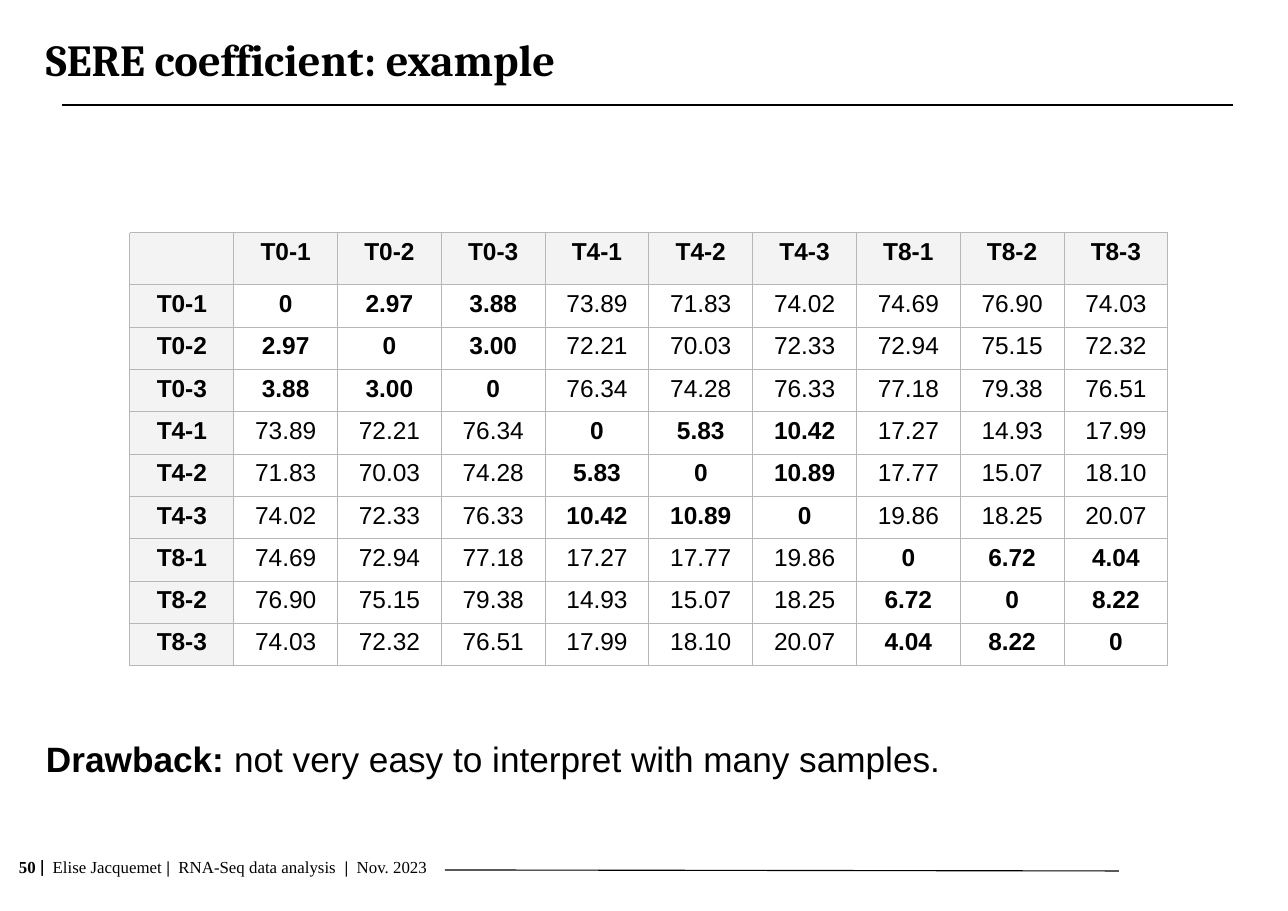
from lxml.etree import SubElement
from pptx import Presentation
from pptx.dml.color import RGBColor
from pptx.enum.shapes import MSO_CONNECTOR
from pptx.enum.text import MSO_ANCHOR, PP_ALIGN
from pptx.oxml.ns import qn
from pptx.util import Emu, Pt

TITLE = [("SERE coefficient: example", "Cambria", True)]
DRAWBACK = [
    ("Drawback:", "Arial", True),
    (" not very easy to interpret with many samples.", "Arial", False),
]
FOOTER = [
    ("50 ", "Times New Roman", True),
    ("|  ", "Lato", True),
    ("Elise Jacquemet ", "Times New Roman", False),
    ("| ", "Times New Roman", True),
    (" RNA-Seq data analysis  ", "Times New Roman", False),
    ("| ", "Times New Roman", True),
    (" Nov. 2023", "Times New Roman", False),
]
SAMPLES = ["T0-1", "T0-2", "T0-3", "T4-1", "T4-2", "T4-3", "T8-1", "T8-2", "T8-3"]
COEFFICIENTS = [
    ["0", "2.97", "3.88", "73.89", "71.83", "74.02", "74.69", "76.90", "74.03"],
    ["2.97", "0", "3.00", "72.21", "70.03", "72.33", "72.94", "75.15", "72.32"],
    ["3.88", "3.00", "0", "76.34", "74.28", "76.33", "77.18", "79.38", "76.51"],
    ["73.89", "72.21", "76.34", "0", "5.83", "10.42", "17.27", "14.93", "17.99"],
    ["71.83", "70.03", "74.28", "5.83", "0", "10.89", "17.77", "15.07", "18.10"],
    ["74.02", "72.33", "76.33", "10.42", "10.89", "0", "19.86", "18.25", "20.07"],
    ["74.69", "72.94", "77.18", "17.27", "17.77", "19.86", "0", "6.72", "4.04"],
    ["76.90", "75.15", "79.38", "14.93", "15.07", "18.25", "6.72", "0", "8.22"],
    ["74.03", "72.32", "76.51", "17.99", "18.10", "20.07", "4.04", "8.22", "0"],
]
REPLICATES = 3

BLACK = RGBColor(0x00, 0x00, 0x00)
WHITE = RGBColor(0xFF, 0xFF, 0xFF)
HEADER_GREY = RGBColor(0xF3, 0xF3, 0xF3)
BORDER_GREY = RGBColor(0xB7, 0xB7, 0xB7)

SLIDE_WIDTH, SLIDE_HEIGHT = 1288, 911
TABLE_LEFT, TABLE_TOP, TABLE_WIDTH = 130, 233, 1038
HEADER_HEIGHT, BODY_HEIGHT = 52, 381
RULES = [(62, 105, 1233, 105), (445, 870, 1119, 871)]


def px(length):
    return Emu(round(length * 914400 / 110.2))


def write(paragraph, runs, size):
    for text, font_name, bold in runs:
        run = paragraph.add_run()
        run.text = text
        run.font.name = font_name
        run.font.size = Pt(size)
        run.font.bold = bold
        run.font.color.rgb = BLACK


def add_text(slide, box, runs, size, margins=(0, 0), anchor=MSO_ANCHOR.TOP):
    frame = slide.shapes.add_textbox(*map(px, box)).text_frame
    frame.word_wrap = True
    frame.vertical_anchor = anchor
    frame.margin_left = frame.margin_right = px(margins[0])
    frame.margin_top = frame.margin_bottom = px(margins[1])
    write(frame.paragraphs[0], runs, size)


def add_rule(slide, ends):
    rule = slide.shapes.add_connector(MSO_CONNECTOR.STRAIGHT, *map(px, ends))
    rule.line.color.rgb = BLACK
    rule.line.width = Pt(0.75)
    SubElement(rule._element.spPr, qn("a:effectLst"))


def add_borders(cell):
    properties = cell._tc.get_or_add_tcPr()
    for side in ("a:lnL", "a:lnR", "a:lnT", "a:lnB"):
        border = SubElement(properties, qn(side), w=str(Pt(0.75)))
        fill = SubElement(border, qn("a:solidFill"))
        SubElement(fill, qn("a:srgbClr"), val=str(BORDER_GREY))


def add_coefficients(slide):
    grid = [["", *SAMPLES]]
    grid += [[sample, *values] for sample, values in zip(SAMPLES, COEFFICIENTS)]
    size = len(grid)
    table = slide.shapes.add_table(
        size, size, px(TABLE_LEFT), px(TABLE_TOP),
        px(TABLE_WIDTH), px(HEADER_HEIGHT + BODY_HEIGHT),
    ).table
    table.first_row = table.horz_banding = False
    for i, values in enumerate(grid):
        table.columns[i].width = px(TABLE_WIDTH / size)
        table.rows[i].height = px(BODY_HEIGHT / len(SAMPLES) if i else HEADER_HEIGHT)
        for j, value in enumerate(values):
            cell = table.cell(i, j)
            add_borders(cell)
            is_header = i == 0 or j == 0
            same_time = (i - 1) // REPLICATES == (j - 1) // REPLICATES
            cell.fill.solid()
            cell.fill.fore_color.rgb = HEADER_GREY if is_header else WHITE
            if value:
                paragraph = cell.text_frame.paragraphs[0]
                paragraph.alignment = PP_ALIGN.CENTER
                write(paragraph, [(value, "Arial", is_header or same_time)], 16)


def main():
    deck = Presentation()
    deck.slide_width, deck.slide_height = px(SLIDE_WIDTH), px(SLIDE_HEIGHT)
    slide = deck.slides.add_slide(deck.slide_layouts[6])
    for ends in RULES:
        add_rule(slide, ends)
    add_text(slide, (8, 851, 496, 32), FOOTER, 11, margins=(11, 6))
    add_text(slide, (46, 1, 1197, 116), TITLE, 29, anchor=MSO_ANCHOR.MIDDLE)
    add_text(slide, (46, 737, 1197, 42), DRAWBACK, 23)
    add_coefficients(slide)
    deck.save("out.pptx")


if __name__ == "__main__":
    main()
